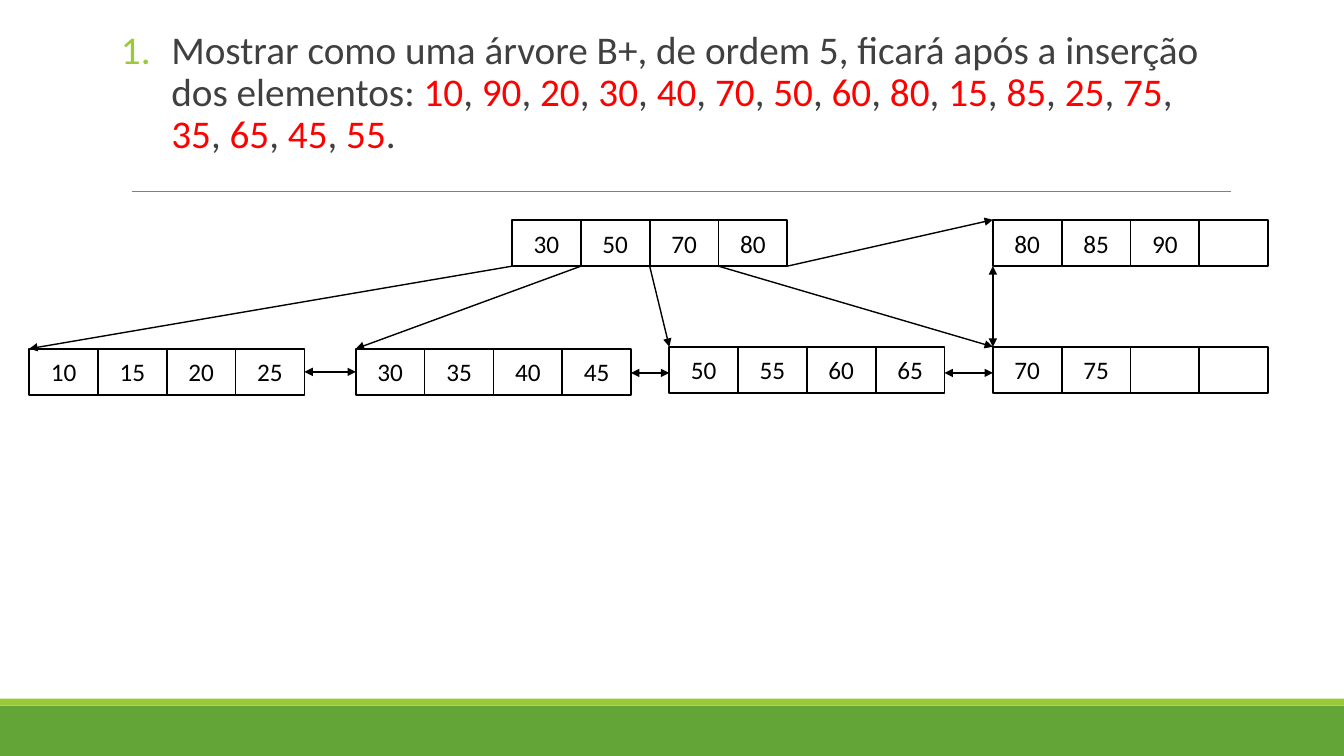
from lxml import etree
from pptx import Presentation
from pptx.dml.color import RGBColor
from pptx.enum.shapes import MSO_CONNECTOR, MSO_SHAPE
from pptx.enum.text import MSO_ANCHOR, MSO_AUTO_SIZE, PP_ALIGN
from pptx.oxml.ns import qn
from pptx.util import Pt

RECTANGLE, STRAIGHT = MSO_SHAPE.RECTANGLE, MSO_CONNECTOR.STRAIGHT
TOP, MIDDLE = MSO_ANCHOR.TOP, MSO_ANCHOR.MIDDLE
LEFT, CENTER = PP_ALIGN.LEFT, PP_ALIGN.CENTER
NO_AUTOFIT = MSO_AUTO_SIZE.NONE

# Content
QUESTION = "Mostrar como uma árvore B+, de ordem 5, ficará após a inserção dos elementos: "
ELEMENTS = [10, 90, 20, 30, 40, 70, 50, 60, 80, 15, 85, 25, 75, 35, 65, 45, 55]
ROOT = (365.8, 157, [30, 50, 70, 80])  # left, top, keys
LEAVES = [
    (20.9, 249.1, [10, 15, 20, 25]),
    (254.2, 249.1, [30, 35, 40, 45]),
    (478.1, 247.7, [50, 55, 60, 65]),
    (709.2, 247.7, [70, 75]),
    (709.2, 157, [80, 85, 90]),
]
BANDS = [(504, 36, "63A537"), (499, 5, "99CB38")]  # top, height, colour

# Sizes in points
SLIDE_W, SLIDE_H = 960, 540
SLOTS, CELL_W, CELL_H = 4, 49.14, 33.12
NODE_W = SLOTS * CELL_W
LINK_Y = 266.4
FONT = "Calibri"
BLACK, GREY, RED, GREEN = "000000", "404040", "FF0000", "99CB38"


def color(hex_text):
    return RGBColor.from_string(hex_text)


def add_line(start, end, line_color=BLACK, width=1, ends=()):
    line = slide.shapes.add_connector(STRAIGHT, *(Pt(v) for v in (*start, *end)))
    line.line.color.rgb = color(line_color)
    line.line.width = Pt(width)
    for end_tag in ends:
        etree.SubElement(line.line._get_or_add_ln(), qn(end_tag), type="triangle")
    etree.SubElement(line._element.spPr, qn("a:effectLst"))
    return line


def add_node(left, top, keys):
    cells = []
    for slot in range(SLOTS):
        cell = slide.shapes.add_shape(
            RECTANGLE, Pt(left + slot * CELL_W), Pt(top), Pt(CELL_W), Pt(CELL_H))
        cell.shadow.inherit = False
        cell.fill.background()
        cell.line.color.rgb = color(BLACK)
        cell.line.width = Pt(1.25)
        if slot < len(keys):
            cell.text_frame.text = str(keys[slot])
            cell.text_frame.vertical_anchor = MIDDLE
            paragraph = cell.text_frame.paragraphs[0]
            paragraph.alignment = CENTER
            paragraph.font.name, paragraph.font.size = FONT, Pt(18)
            paragraph.font.color.rgb = color(BLACK)
        cells.append(cell)
    return cells


prs = Presentation()
prs.slide_width, prs.slide_height = Pt(SLIDE_W), Pt(SLIDE_H)
slide = prs.slides.add_slide(prs.slide_layouts[5])

# Footer bands and rule under the question
for top, height, band_color in BANDS:
    band = slide.shapes.add_shape(RECTANGLE, 0, Pt(top), Pt(SLIDE_W), Pt(height))
    band.shadow.inherit = False
    band.fill.solid()
    band.fill.fore_color.rgb = color(band_color)
    band.line.fill.background()
add_line((94.3, 136.8), (879.1, 136.8), "808080", 0.5)

# Numbered question with the inserted elements in red
title = slide.shapes.title
title.left, title.top, title.width, title.height = Pt(86.4), Pt(18), Pt(792), Pt(109.4)
frame = title.text_frame
frame.auto_size, frame.word_wrap, frame.vertical_anchor = NO_AUTOFIT, True, TOP
frame.margin_left = frame.margin_right = 0
frame.margin_top = frame.margin_bottom = Pt(3.6)
question = frame.paragraphs[0]
question.alignment, question.line_spacing = LEFT, 0.9
question.space_before, question.space_after = Pt(0), Pt(2)
properties = question._p.get_or_add_pPr()
properties.set("marL", str(Pt(36)))
properties.set("indent", str(-Pt(36)))
bullet_color = etree.SubElement(properties, qn("a:buClr"))
etree.SubElement(bullet_color, qn("a:srgbClr"), val=GREEN)
etree.SubElement(properties, qn("a:buFont"), typeface="+mj-lt")
etree.SubElement(properties, qn("a:buAutoNum"), type="arabicPeriod")
question.font.name, question.font.size = FONT, Pt(28)
pieces = [(QUESTION, GREY)]
for element in ELEMENTS:
    pieces += [(str(element), RED), (", ", GREY)]
pieces[-1] = (".", GREY)
for text, text_color in pieces:
    run = question.add_run()
    run.text = text
    run.font.color.rgb = color(text_color)

# Tree nodes
add_node(*ROOT)
leaf_cells = [add_node(*leaf) for leaf in LEAVES]

# Pointers from the root to each leaf
root_left, root_top, _ = ROOT
for child, (leaf_left, leaf_top, _) in enumerate(LEAVES):
    add_line((root_left + child * CELL_W, root_top + CELL_H), (leaf_left, leaf_top),
             ends=["a:tailEnd"])

# Two-way links between neighbouring leaves
BOTH_ENDS = ["a:headEnd", "a:tailEnd"]
side_links = [
    add_line((left[0] + NODE_W, LINK_Y), (right[0], LINK_Y), ends=BOTH_ENDS)
    for left, right in zip(LEAVES[:3], LEAVES[1:4])
]
side_links[0].begin_connect(leaf_cells[0][-1], 3)
side_links[0].end_connect(leaf_cells[1][0], 1)
last_left, last_top, _ = LEAVES[4]
add_line((last_left, last_top + CELL_H), (last_left, LEAVES[3][1]), ends=BOTH_ENDS)

prs.save("out.pptx")
